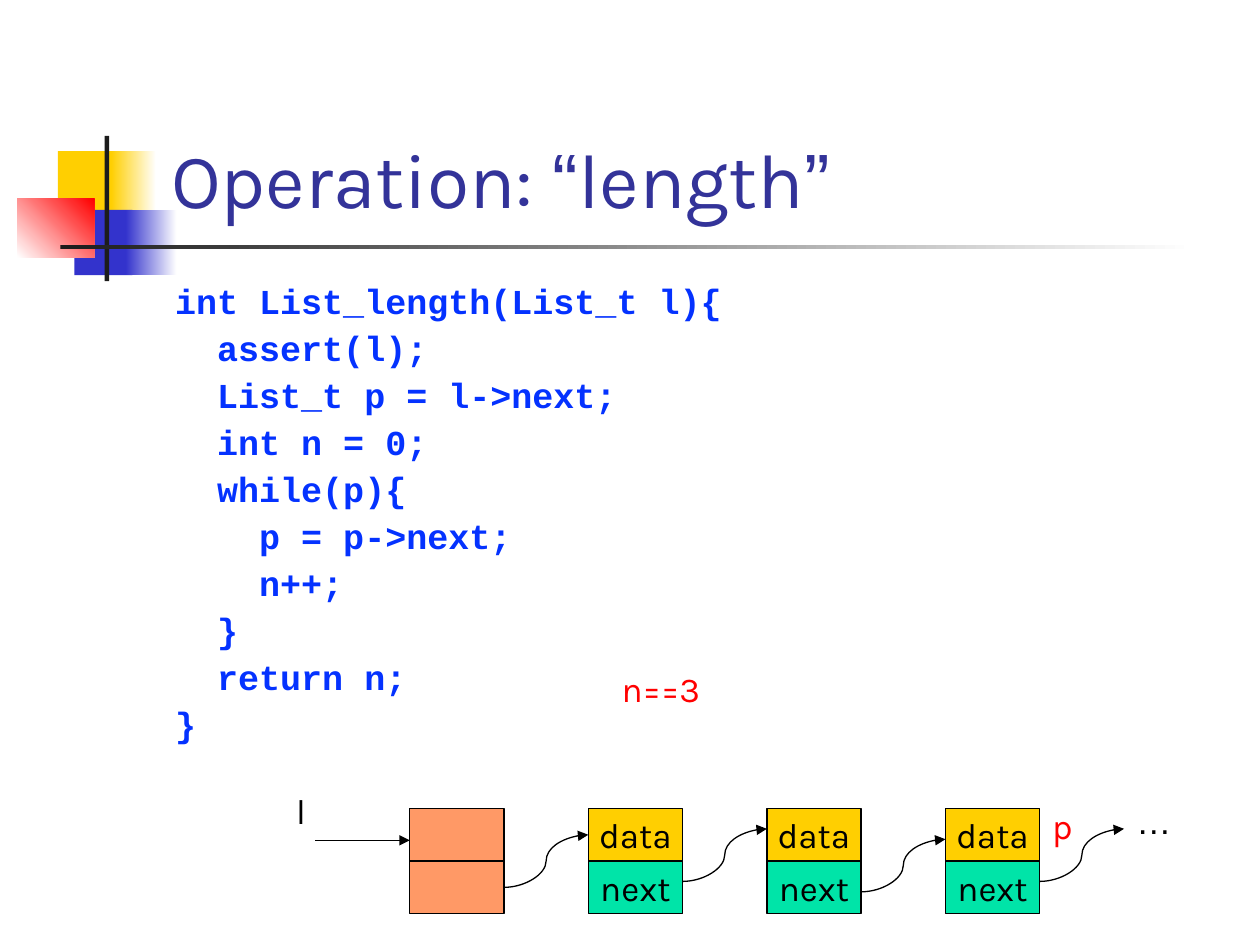
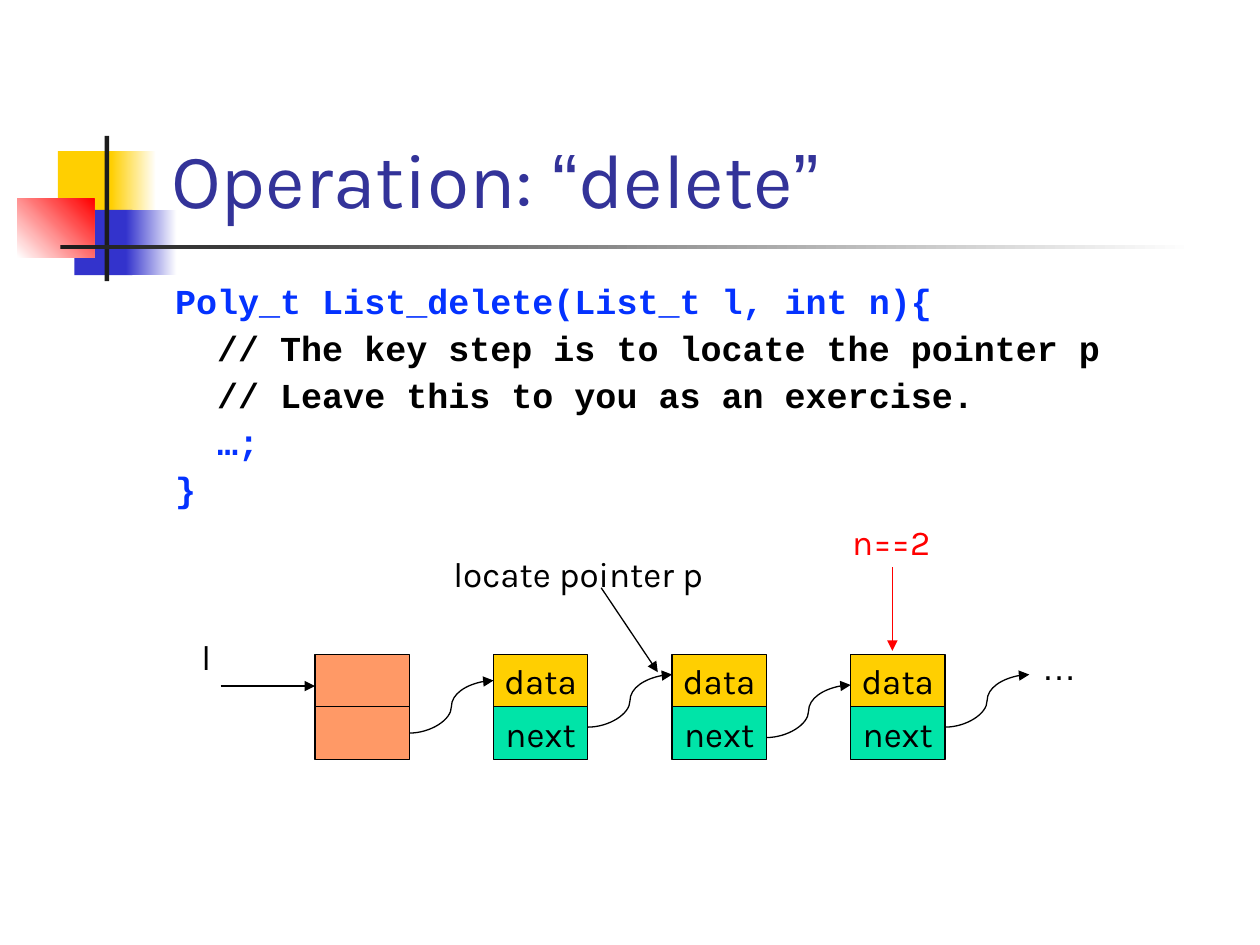
import pptx
import pptx.dml.color
import pptx.enum.shapes
import pptx.enum.text
import pptx.oxml
import pptx.oxml.ns
import pptx.util
from pptx.util import Cm

# Shared look
YELLOW, BLUE, RED = "FFCF01", "3333CC", "FF0000"
WHITE, BLACK, CHARCOAL = "FFFFFF", "000000", "1C1C1C"
ORANGE, GREEN = "FF9966", "00E4A8"
TITLE_COLOR, CODE_COLOR = "333399", "0432FF"
SANS, SYMBOL, MONO = "Karla", "Arial", "Courier New"

# Linked list geometry, in centimetres
CELL_WIDTH, CELL_HEIGHT, NODE_PITCH = 1.9, 1.06, 3.6
LINK_STARTS = [1.59, 1.47, 1.68, 1.47]  # below the top of the list


def color(hex_code):
    return pptx.dml.color.RGBColor.from_string(hex_code)


def add_span(para, text, size, font, hex_code, bold=False):
    span = para.add_run()
    span.text = text
    span.font.size = pptx.util.Pt(size)
    span.font.name = font
    span.font.bold = bold
    span.font.color.rgb = color(hex_code)


def add_block(page, left, top, width, height, fill, fill_end=None, angle=0):
    """Rectangle without outline, filled plainly or with a gradient."""
    block = page.shapes.add_shape(
        pptx.enum.shapes.MSO_SHAPE.RECTANGLE,
        Cm(left), Cm(top), Cm(width), Cm(height))
    block.shadow.inherit = False
    block.line.fill.background()
    if fill_end:
        block.fill.gradient()
        block.fill.gradient_angle = angle
        for stop, hex_code in zip(block.fill.gradient_stops, (fill, fill_end)):
            stop.color.rgb = color(hex_code)
    else:
        block.fill.solid()
        block.fill.fore_color.rgb = color(fill)
    return block


def add_text_box(page, left, top, width, height, wrap=True):
    box = page.shapes.add_textbox(Cm(left), Cm(top), Cm(width), Cm(height))
    box.text_frame.word_wrap = wrap
    return box.text_frame


def add_label(page, left, top, width, text, hex_code=BLACK, font=SANS, wrap=True):
    frame = add_text_box(page, left, top, width, 1.09, wrap)
    add_span(frame.paragraphs[0], text, 20, font, hex_code)


def add_arrow(page, start, end, hex_code=BLACK, curved=False):
    kinds = pptx.enum.shapes.MSO_CONNECTOR
    arrow = page.shapes.add_connector(
        kinds.CURVE if curved else kinds.STRAIGHT,
        Cm(start[0]), Cm(start[1]), Cm(end[0]), Cm(end[1]))
    arrow.line.color.rgb = color(hex_code)
    arrow.line.width = pptx.util.Pt(0.75)
    head = pptx.oxml.parse_xml(
        '<a:tailEnd %s type="triangle"/>' % pptx.oxml.ns.nsdecls("a"))
    arrow.line._get_or_add_ln().append(head)
    arrow._element.spPr.append(
        pptx.oxml.parse_xml("<a:effectLst %s/>" % pptx.oxml.ns.nsdecls("a")))
    return arrow


def add_cell(page, left, top, fill, text=None):
    cell = add_block(page, left, top, CELL_WIDTH, CELL_HEIGHT, fill)
    cell.line.color.rgb = color(BLACK)
    cell.line.width = pptx.util.Pt(0.75)
    if text:
        frame = cell.text_frame
        frame.word_wrap = False
        frame.vertical_anchor = pptx.enum.text.MSO_ANCHOR.MIDDLE
        frame.paragraphs[0].alignment = pptx.enum.text.PP_ALIGN.CENTER
        add_span(frame.paragraphs[0], text, 20, SANS, BLACK)
    return cell


def add_linked_list(page, left, top):
    """Head node, three data nodes, the links between them and the pointer l."""
    nodes = []
    for index in range(4):
        x = left + index * NODE_PITCH
        upper, lower = ((YELLOW, "data"), (GREEN, "next")) if index else ((ORANGE,), (ORANGE,))
        nodes.append((add_cell(page, x, top, *upper),
                      add_cell(page, x, top + CELL_HEIGHT, *lower)))

    links = []
    for index, drop in enumerate(LINK_STARTS):
        x = left + index * NODE_PITCH
        links.append(add_arrow(page, (x + CELL_WIDTH, top + drop),
                               (x + NODE_PITCH, top + drop - CELL_HEIGHT), curved=True))
    links[0].begin_connect(nodes[0][1], 3)
    links[0].end_connect(nodes[1][0], 1)

    add_arrow(page, (left - CELL_WIDTH, top + 0.64), (left, top + 0.64))
    add_label(page, left - 2.54, top - 0.5, 0.69, "l", wrap=False)
    add_label(page, left + 4 * NODE_PITCH, top - 0.3, 1.9, "…", font=SYMBOL)


def add_frame(page, operation):
    """Corner ornament, rule and title."""
    add_block(page, 1.17, 3.05, 1.22, 1.32, YELLOW)
    add_block(page, 2.24, 3.05, 0.91, 1.32, YELLOW, WHITE)
    add_block(page, 1.5, 4.23, 1.17, 1.32, BLUE)
    add_block(page, 2.54, 4.23, 1.02, 1.32, BLUE, WHITE)
    add_block(page, 0.35, 4.01, 1.55, 1.18, WHITE, RED, angle=45)
    add_block(page, 2.11, 2.74, 0.09, 2.93, CHARCOAL)
    add_block(page, 1.22, 4.94, 22.86, 0.09, CHARCOAL, WHITE)

    frame = add_text_box(page, 3.2, 0.58, 21.64, 4.06)
    frame.vertical_anchor = pptx.enum.text.MSO_ANCHOR.BOTTOM
    for text, font in (("Operation: ", SANS), ("“", SYMBOL), (operation, SANS), ("”", SYMBOL)):
        add_span(frame.paragraphs[0], text, 44, font, TITLE_COLOR)


def add_code(page, lines):
    frame = add_text_box(page, 3.28, 5.61, 21.59, 11.43)
    for index, line in enumerate(lines):
        para = frame.add_paragraph() if index else frame.paragraphs[0]
        para.line_spacing = 0.9
        para.space_after = pptx.util.Pt(5.25)
        is_comment = line.lstrip().startswith("//")
        add_span(para, line, 20, MONO, BLACK if is_comment else CODE_COLOR, bold=True)


def add_page(deck, operation, lines):
    page = deck.slides.add_slide(deck.slide_layouts[6])
    add_frame(page, operation)
    add_code(page, lines)
    return page


def main():
    deck = pptx.Presentation()
    deck.slide_width, deck.slide_height = Cm(25.4), Cm(19.05)

    # Length
    page = add_page(deck, "length", [
        "int List_length(List_t l){",
        "  assert(l);",
        "  List_t p = l->next;",
        "  int n = 0;",
        "  while(p){",
        "    p = p->next;",
        "    n++;",
        "  }",
        "  return n;",
        "}",
    ])
    add_linked_list(page, 8.26, 16.3)
    add_label(page, 20.96, 16.09, 1.06, "p", RED)
    add_label(page, 12.28, 13.34, 3.18, "n==3", RED)

    # Delete
    page = add_page(deck, "delete", [
        "Poly_t List_delete(List_t l, int n){",
        "  // The key step is to locate the pointer p",
        "  // Leave this to you as an exercise.",
        "  …;",
        "}",
    ])
    add_linked_list(page, 6.35, 13.19)
    add_label(page, 16.93, 10.37, 3.18, "n==2", RED)
    add_arrow(page, (17.99, 11.43), (17.99, 13.12), RED)
    add_label(page, 8.89, 11.01, 8.04, "locate pointer p")
    add_arrow(page, (12.12, 11.85), (13.26, 13.55))

    deck.save("out.pptx")


if __name__ == "__main__":
    main()
